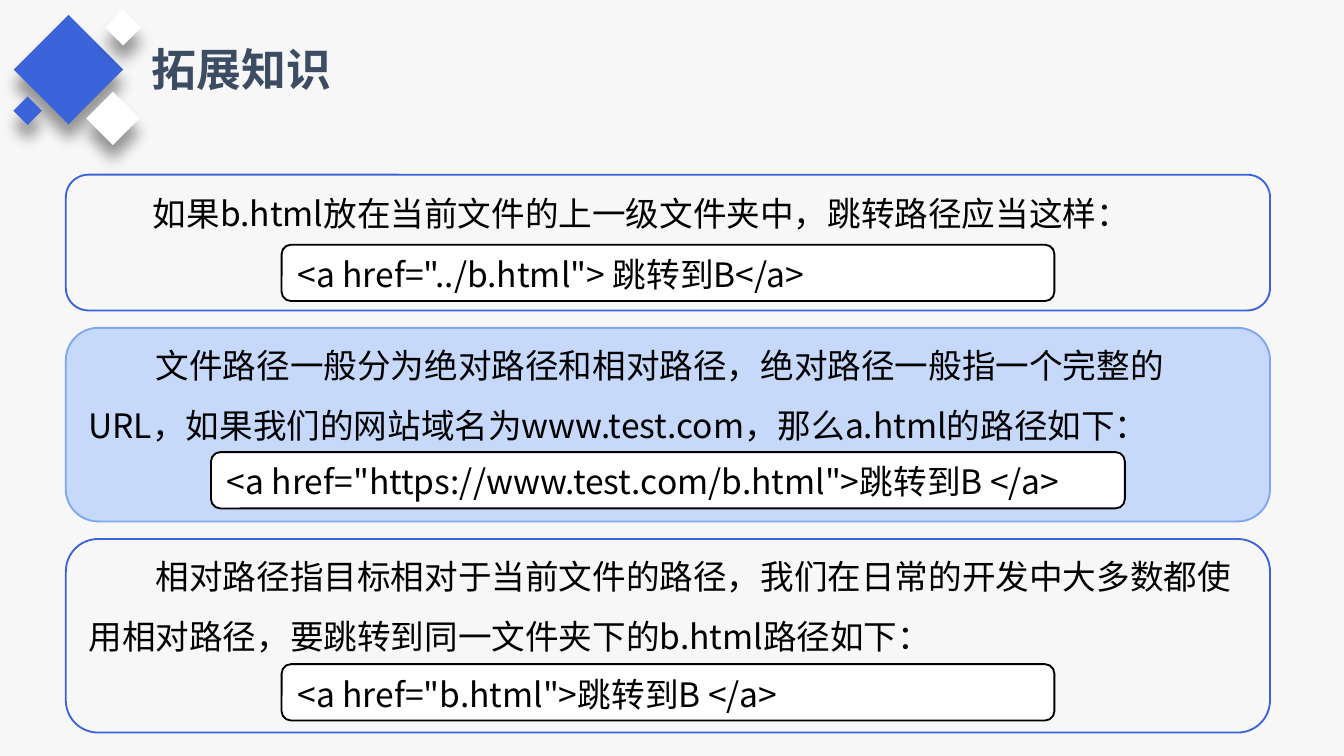
from lxml.etree import SubElement
from pptx import Presentation
from pptx.dml.color import RGBColor
from pptx.enum.shapes import MSO_SHAPE as Shape
from pptx.enum.text import MSO_ANCHOR as Anchor, MSO_AUTO_SIZE as AutoSize, PP_ALIGN as Align
from pptx.oxml.ns import qn
from pptx.util import Pt

FONT = "Noto Sans CJK SC"
COLORS = {
    "page": "F7F7F7", "blue": "3B64DA", "pale": "C7D9FA", "sky": "7FA6F2",
    "title": "3C4D63", "white": "FFFFFF", "black": "000000",
}

# Panel height, fill, outline, text; code width, gap below the code, code
PANELS = [
    (72.7, None, "blue", "如果b.html放在当前文件的上一级文件夹中，跳转路径应当这样：",
     414, 5, '<a href="../b.html"> 跳转到B</a>'),
    (103.7, "pale", "sky", "文件路径一般分为绝对路径和相对路径，绝对路径一般指一个完整的URL，"
     "如果我们的网站域名为www.test.com，那么a.html的路径如下：",
     489.6, 7, '<a href="https://www.test.com/b.html">跳转到B </a>'),
    (103.7, "blue" and None, "blue", "相对路径指目标相对于当前文件的路径，我们在日常的开发中大多数都使用相对路径，"
     "要跳转到同一文件夹下的b.html路径如下：",
     414, 6.5, '<a href="b.html">跳转到B </a>'),
]
PANELS[2] = (PANELS[2][0], None) + PANELS[2][2:]

# Offset from the ornament's corner, side, colour
DIAMONDS = [
    (6.5, 9.4, 41.5, "blue"), (41, 46.1, 20.2, "white"),
    (49.7, 0.7, 13.7, "white"), (0, 46.8, 10.8, "blue"),
]


def color(name):
    return RGBColor.from_string(COLORS[name])


def apply(target, values):
    for name, value in values.items():
        setattr(target, name, value)


def add_box(page, kind, box, fill=None, line=None):
    shape = page.shapes.add_shape(kind, *map(Pt, box))
    shape.shadow.inherit = False
    if fill:
        shape.fill.solid()
        shape.fill.fore_color.rgb = color(fill)
    else:
        shape.fill.background()
    if line:
        shape.line.color.rgb = color(line)
        shape.line.width = Pt(1)
    else:
        shape.line.fill.background()
    return shape


def write(shape, text, frame_format, size=18, ink="black", bold=False, spacing=1.0):
    frame = shape.text_frame
    apply(frame, frame_format)
    para = frame.paragraphs[0]
    apply(para, {"alignment": Align.LEFT, "line_spacing": spacing})
    span = para.add_run()
    span.text = text
    apply(span.font, {"name": FONT, "size": Pt(size), "bold": bold})
    span.font.color.rgb = color(ink)
    SubElement(span.font._element, qn("a:ea"), typeface=FONT)
    return para


def add_shadow(shape):
    effects = shape._element.spPr.find(qn("a:effectLst"))
    shadow = SubElement(effects, qn("a:outerShdw"), blurRad=str(Pt(8)), dist=str(Pt(8)),
                        dir="5400000", algn="t", rotWithShape="0")
    ink = SubElement(shadow, qn("a:srgbClr"), val=COLORS["black"])
    SubElement(ink, qn("a:alpha"), val="40000")


def add_ornament(page, left, top):
    for x, y, side, fill in DIAMONDS:
        diamond = add_box(page, Shape.RECTANGLE, (left + x, top + y, side, side), fill)
        diamond.rotation = 45
        add_shadow(diamond)


def add_title(page, left, top, width, height):
    title = page.shapes.title
    apply(title, {"left": Pt(left), "top": Pt(top), "width": Pt(width), "height": Pt(height)})
    write(title, "拓展知识", {
        "word_wrap": False, "auto_size": AutoSize.SHAPE_TO_FIT_TEXT,
        "vertical_anchor": Anchor.TOP,
    }, size=24, ink="title", bold=True)


def add_panel(page, left, top, width, panel):
    height, fill, line, text, code_width, code_gap, code = panel
    # Explanation
    box = add_box(page, Shape.ROUNDED_RECTANGLE, (left, top, width, height), fill, line)
    para = write(box, text, {
        "word_wrap": True, "vertical_anchor": Anchor.MIDDLE,
        "margin_top": Pt(28), "margin_bottom": Pt(70.5),
    }, spacing=1.5)
    para._p.get_or_add_pPr().set("indent", str(Pt(36)))
    # Code sample, centred across the panel
    code_height = 30.2
    place = (left + (width - code_width) / 2, top + height - code_gap - code_height,
             code_width, code_height)
    sample = add_box(page, Shape.FLOWCHART_ALTERNATE_PROCESS, place, "white", "black")
    write(sample, code, {"word_wrap": True, "vertical_anchor": Anchor.TOP})


def add_panels(page, left, top, width, gap):
    for panel in PANELS:
        add_panel(page, left, top, width, panel)
        top += panel[0] + gap


def main():
    deck = Presentation()
    apply(deck, {"slide_width": Pt(720), "slide_height": Pt(405)})
    page = deck.slides.add_slide(deck.slide_layouts[5])
    page.background.fill.solid()
    page.background.fill.fore_color.rgb = color("page")
    add_title(page, 74.2, 18.7, 110.9, 36)
    add_ornament(page, 9.4, 7.2)
    add_panels(page, 35.3, 93.6, 645.1, 9.4)
    deck.save("out.pptx")


if __name__ == "__main__":
    main()
